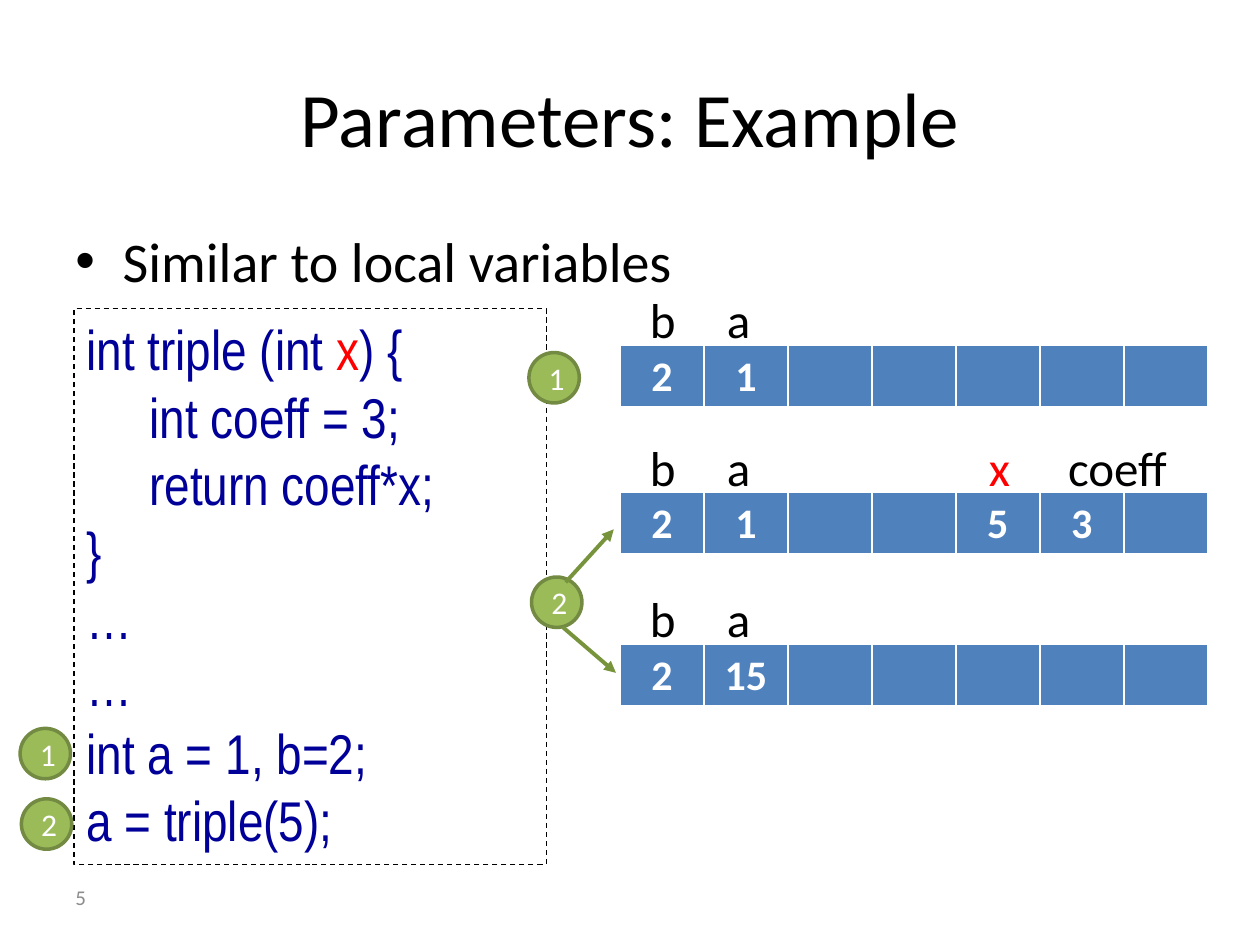
from lxml import etree
from pptx import Presentation
from pptx import util as u
from pptx.dml.color import RGBColor
from pptx.enum import dml, shapes, text
from pptx.oxml import parse_xml
from pptx.oxml.ns import nsdecls, qn

Pt = u.Pt


def color(value):
    return RGBColor.from_string(value)


def write(para, words, size=28, font="Calibri", fill="000000", bold=False, align=None):
    if align is not None:
        para.alignment = align
    span = para.add_run()
    span.text = words
    span.font.size = Pt(size)
    span.font.name = font
    span.font.bold = bold
    span.font.color.rgb = color(fill)


deck = Presentation()
deck.slide_width, deck.slide_height = Pt(720), Pt(540)
page = deck.slides.add_slide(deck.slide_layouts[6])
center = text.PP_ALIGN.CENTER
middle = text.MSO_ANCHOR.MIDDLE

headings = [
    ("Parameters: Example", 36, 21.6, 648, 90, middle, dict(size=44, align=center)),
    ("Similar to local variables", 36, 126, 648, 356.4, text.MSO_ANCHOR.TOP, dict(size=32)),
    ("5", 36, 498.25, 168, 28.8, middle, dict(size=12, fill="8C8C8C")),
]
for words, left, top, width, height, anchor, style in headings:
    box = page.shapes.add_textbox(Pt(left), Pt(top), Pt(width), Pt(height))
    box.text_frame.word_wrap = True
    box.text_frame.vertical_anchor = anchor
    para = box.text_frame.paragraphs[0]
    if words.startswith("Similar"):
        props = para._p.get_or_add_pPr()
        props.set("marL", str(Pt(27)))
        props.set("indent", str(Pt(-27)))
        etree.SubElement(props, qn("a:buFont")).set("typeface", "Arial")
        etree.SubElement(props, qn("a:buChar")).set("char", "•")
    write(para, words, **style)

code_box = page.shapes.add_shape(shapes.MSO_SHAPE.RECTANGLE, Pt(42.25), Pt(176.4), Pt(270), Pt(317.5))
code_box.shadow.inherit = False
code_box.fill.background()
code_box.line.color.rgb = color("000000")
code_box.line.width = Pt(0.75)
code_box.line.dash_style = dml.MSO_LINE.DASH
frame = code_box.text_frame
frame.word_wrap = True
frame.vertical_anchor = text.MSO_ANCHOR.TOP
code_lines = [
    ["int triple (int ", "x", ") {"],
    ["\tint coeff = 3;"],
    ["\treturn coeff*x;"],
    ["}"],
    ["…"],
    ["…"],
    ["int a = 1, b=2;"],
    ["a = triple(5);"],
]
for index, parts in enumerate(code_lines):
    para = frame.add_paragraph() if index else frame.paragraphs[0]
    tabs = etree.SubElement(para._p.get_or_add_pPr(), qn("a:tabLst"))
    etree.SubElement(tabs, qn("a:tab"), pos=str(Pt(36)), algn="l")
    for part in parts:
        write(para, part, size=32, font="Arial Narrow", align=text.PP_ALIGN.LEFT,
              fill="FF0000" if part == "x" else "000099")

label_lefts = {"b": 364.25, "a": 408.25, "x": 558, "coeff": 603.25}
memory_states = [
    (197.25, ["2", "1", "", "", "", "", ""], ["b", "a"]),
    (281.5, ["2", "1", "", "", "5", "3", ""], ["b", "a", "x", "coeff"]),
    (368, ["2", "15", "", "", "", "", ""], ["b", "a"]),
]
borders = [("lnL", 1), ("lnR", 1), ("lnT", 1), ("lnB", 3)]
for top, values, labels in memory_states:
    table = page.shapes.add_table(1, 7, Pt(354.25), Pt(top), Pt(336), Pt(36)).table
    for column, value in enumerate(values):
        table.columns[column].width = Pt(48)
        cell = table.cell(0, column)
        cell.fill.solid()
        cell.fill.fore_color.rgb = color("4F81BD")
        if value:
            write(cell.text_frame.paragraphs[0], value, size=24, fill="FFFFFF", bold=True, align=center)
        for position, (side, width) in enumerate(borders):
            cell._tc.get_or_add_tcPr().insert(position, parse_xml(
                f'<a:{side} {nsdecls("a")} w="{Pt(width)}"><a:solidFill>'
                f'<a:srgbClr val="FFFFFF"/></a:solidFill></a:{side}>'))
    for label in labels:
        width = 84 if label == "coeff" else 42
        box = page.shapes.add_textbox(Pt(label_lefts[label]), Pt(top - 35.25), Pt(width), Pt(34))
        box.text_frame.word_wrap = True
        write(box.text_frame.paragraphs[0], label, fill="FF0000" if label == "x" else "000000")

steps = [("2", 12.25, 456.5), ("2", 303.75, 329.75), ("1", 11.5, 416.25), ("1", 302.25, 201.5)]
for number, left, top in steps:
    badge = page.shapes.add_shape(shapes.MSO_SHAPE.OVAL, Pt(left), Pt(top), Pt(28.8), Pt(28.8))
    badge.shadow.inherit = False
    badge.fill.solid()
    badge.fill.fore_color.rgb = color("9BBB59")
    badge.line.color.rgb = color("738A42")
    badge.line.width = Pt(2)
    badge.text_frame.word_wrap = True
    badge.text_frame.vertical_anchor = middle
    write(badge.text_frame.paragraphs[0], number, size=18, fill="FFFFFF", align=center)

for ends in [(323.25, 332.75, 350.75, 302.5), (321.75, 358.5, 352, 384.5)]:
    arrow = page.shapes.add_connector(shapes.MSO_CONNECTOR.STRAIGHT, *map(Pt, ends))
    arrow.line.color.rgb = color("77933C")
    arrow.line.width = Pt(2.25)
    etree.SubElement(arrow.line._get_or_add_ln(), qn("a:tailEnd"), type="triangle")
    etree.SubElement(arrow._element.spPr, qn("a:effectLst"))

deck.save("out.pptx")
